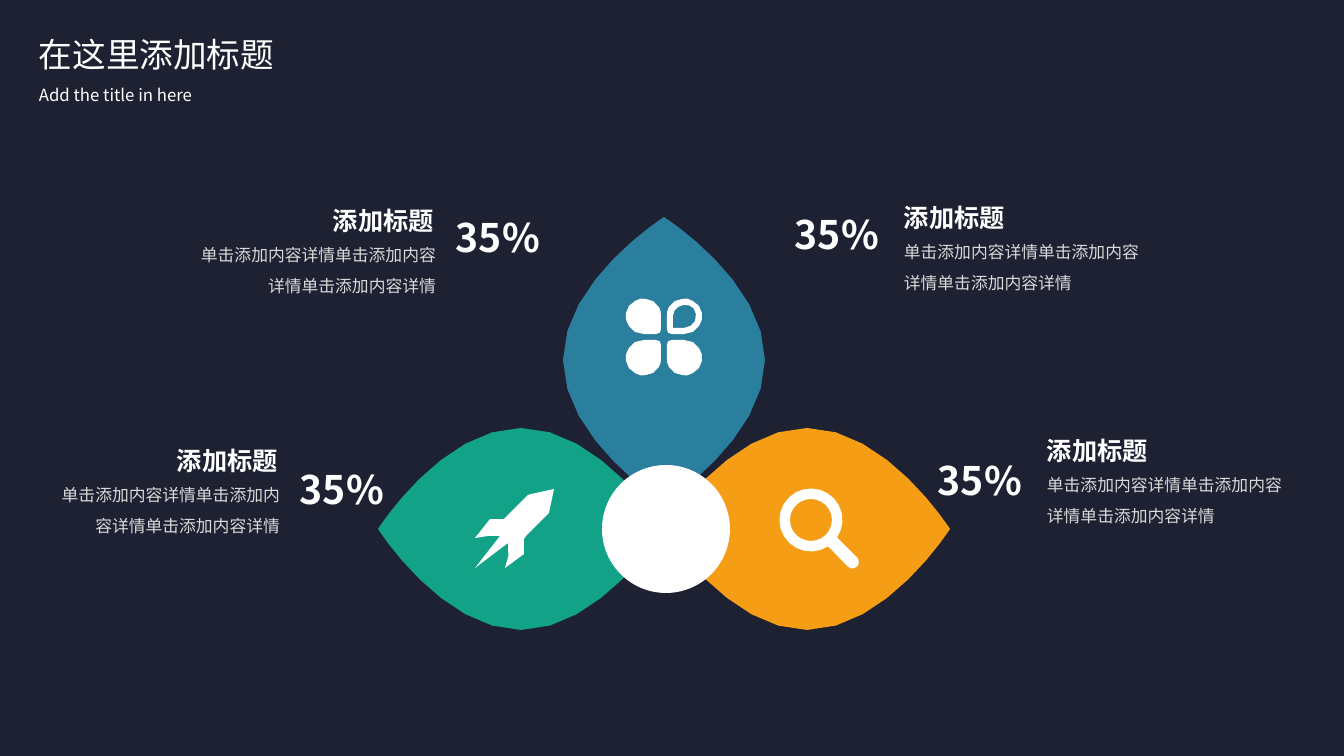
from dataclasses import dataclass
from math import cos, radians, sin

from lxml.etree import SubElement
from pptx import Presentation
from pptx.dml.color import RGBColor
from pptx.enum.shapes import MSO_SHAPE
from pptx.enum.text import MSO_AUTO_SIZE, PP_ALIGN
from pptx.oxml.ns import qn
from pptx.util import Emu, Pt

SCALE = 914400 / 100.8
FONT = "Noto Sans CJK SC"
COLORS = {
    "background": "1E2132", "white": "FFFFFF", "body": "D9D9D9",
    "orange": "F59D15", "green": "12A287", "blue": "2A7F9E",
}
HEADING = "添加标题"
BODY = "单击添加内容详情" * 3

Point = tuple[float, float]
Contour = list[Point]


@dataclass
class Petal:
    cx: int
    cy: int
    color: str
    upright: bool = False


@dataclass
class Block:
    edge: int  # side of the text that faces the percentage
    top: int
    width: int
    on_left: bool
    drop: int = 0  # how far the percentage sits below the heading


PETALS = [
    Petal(807, 529, "orange"),
    Petal(521, 529, "green"),
    Petal(664, 360, "blue", upright=True),
]
BLOCKS = [
    Block(446, 185, 267, True),
    Block(894, 182, 266, False),
    Block(1037, 415, 258, False, 13),
    Block(290, 425, 253, True, 12),
]


def px(value: float) -> Emu:
    return Emu(round(value * SCALE))


def rgb(name: str) -> RGBColor:
    return RGBColor.from_string(COLORS[name])


def curve(start: Point, *segments: tuple[Point, Point, Point], steps: int = 2) -> Contour:
    """Points along joined cubic Bezier segments."""
    points = [start]
    for b, c, d in segments:
        a = points[-1]
        for i in range(1, steps + 1):
            t = i / steps
            u = 1 - t
            points.append(tuple(
                u**3 * a[k] + 3 * u * u * t * b[k] + 3 * u * t * t * c[k] + t**3 * d[k]
                for k in (0, 1)))
    return points


def arc(cx: float, cy: float, radius: float, start: int, end: int, steps: int) -> Contour:
    angles = [radians(start + (end - start) * i / steps) for i in range(steps + 1)]
    return [(cx + radius * cos(a), cy + radius * sin(a)) for a in angles]


def paint(sp, color: str) -> None:
    sp.shadow.inherit = False
    sp.fill.solid()
    sp.fill.fore_color.rgb = rgb(color)
    sp.line.fill.background()


def add_outline(s, color: str, *contours: Contour) -> None:
    builder = None
    for contour in contours:
        first, *rest = [(px(x), px(y)) for x, y in contour]
        if builder is None:
            builder = s.shapes.build_freeform(*first, scale=1.0)
        else:
            builder.move_to(*first)
        builder.add_line_segments(rest, close=True)
    paint(builder.convert_to_shape(), color)


def add_petal(s, petal: Petal) -> None:
    half = curve((-143, 0), ((-143, 0), (-79, -101), (0, -101)),
                 ((79, -101), (143, 0), (143, 0)), steps=8)
    points = half + [(-x, -y) for x, y in half[1:-1]]
    if petal.upright:
        points = [(-y, x) for x, y in points]
    add_outline(s, petal.color, [(petal.cx + x, petal.cy + y) for x, y in points])


def add_text(s, text: str, left: int, top: int, width: int, height: int, size: int,
             color: str = "white", bold: bool = False, spacing: float = 1.0,
             align: PP_ALIGN = PP_ALIGN.LEFT) -> None:
    tf = s.shapes.add_textbox(px(left), px(top), px(width), px(height)).text_frame
    tf.word_wrap = True
    tf.auto_size = MSO_AUTO_SIZE.SHAPE_TO_FIT_TEXT
    p = tf.paragraphs[0]
    p.text = text
    p.alignment = align
    p.line_spacing = spacing
    p.font.size = Pt(size)
    p.font.bold = bold
    p.font.name = FONT
    p.font.color.rgb = rgb(color)
    # East Asian typeface
    SubElement(p._p.pPr.find(qn("a:defRPr")), qn("a:ea")).set("typeface", FONT)


def add_block(s, block: Block) -> None:
    if block.on_left:
        heading_x, body_x, percent_x = block.edge - 123, block.edge - block.width, block.edge
        align = PP_ALIGN.RIGHT
    else:
        heading_x, body_x, percent_x = block.edge, block.edge, block.edge - 109
        align = PP_ALIGN.LEFT
    add_text(s, HEADING, heading_x, block.top, 123, 56, 18, bold=True, spacing=1.5)
    add_text(s, BODY, body_x, block.top + 45, block.width, 72, 12, "body",
             spacing=1.5, align=align)
    add_text(s, "35%", percent_x, block.top + block.drop, 109, 82, 28, bold=True, spacing=1.5)


prs = Presentation()
prs.slide_width, prs.slide_height = px(1344), px(756)
s = prs.slides.add_slide(prs.slide_layouts[6])
s.background.fill.solid()
s.background.fill.fore_color.rgb = rgb("background")

# Title and text blocks
add_text(s, "在这里添加标题", 29, 29, 349, 50, 24)
add_text(s, "Add the title in here", 29, 80, 349, 30, 12)
for block in BLOCKS:
    add_block(s, block)

# Petals and hub
for petal in PETALS:
    add_petal(s, petal)
hub = s.shapes.add_shape(MSO_SHAPE.OVAL, px(602), px(465), px(128), px(128))
paint(hub, "white")

# Magnifier: ring joined to its handle, with the lens cut out
add_outline(s, "white",
            arc(811, 520, 31.5, 57, 394, 22) + arc(852.5, 562, 6.5, -45, 135, 6),
            arc(811, 520, 21, 0, 345, 23))

# Rocket
flame = curve((500, 536), ((491, 535), (487, 536), (475, 538)))
fin = curve((505, 568), ((508, 560), (510, 552), (508, 543)))
add_outline(s, "white", [
    (475, 568), *flame, (490, 519), (504, 519), (528, 495), (531, 494), (554, 489),
    (549, 513), (526, 536), (524, 539), (524, 554), *fin])

# Clover: one leaf mirrored about the centre, the upper right one hollow
LEAF = curve((20, 3), ((27, 3), (32, 6), (35, 11)), ((38, 15), (39, 20), (38, 24)),
             ((37, 30), (34, 33), (29, 36)), ((25, 39), (21, 39), (18, 38)),
             ((13, 38), (8, 35), (5, 30)), ((3, 27), (3, 24), (3, 21))
             ) + curve((3, 8), ((3, 5), (4, 3), (8, 3)))
HOLE = curve((20, 9), ((28, 10), (33, 15), (32, 23)), ((31, 30), (26, 33), (19, 32)),
             ((14, 31), (9, 27), (9, 21)), steps=3) + [(9, 9)]
for dx, dy in ((-1, -1), (-1, 1), (1, 1), (1, -1)):
    contours = [LEAF, HOLE] if (dx, dy) == (1, -1) else [LEAF]
    add_outline(s, "white", *([(664 + dx * x, 337 + dy * y) for x, y in c] for c in contours))

prs.save("out.pptx")
